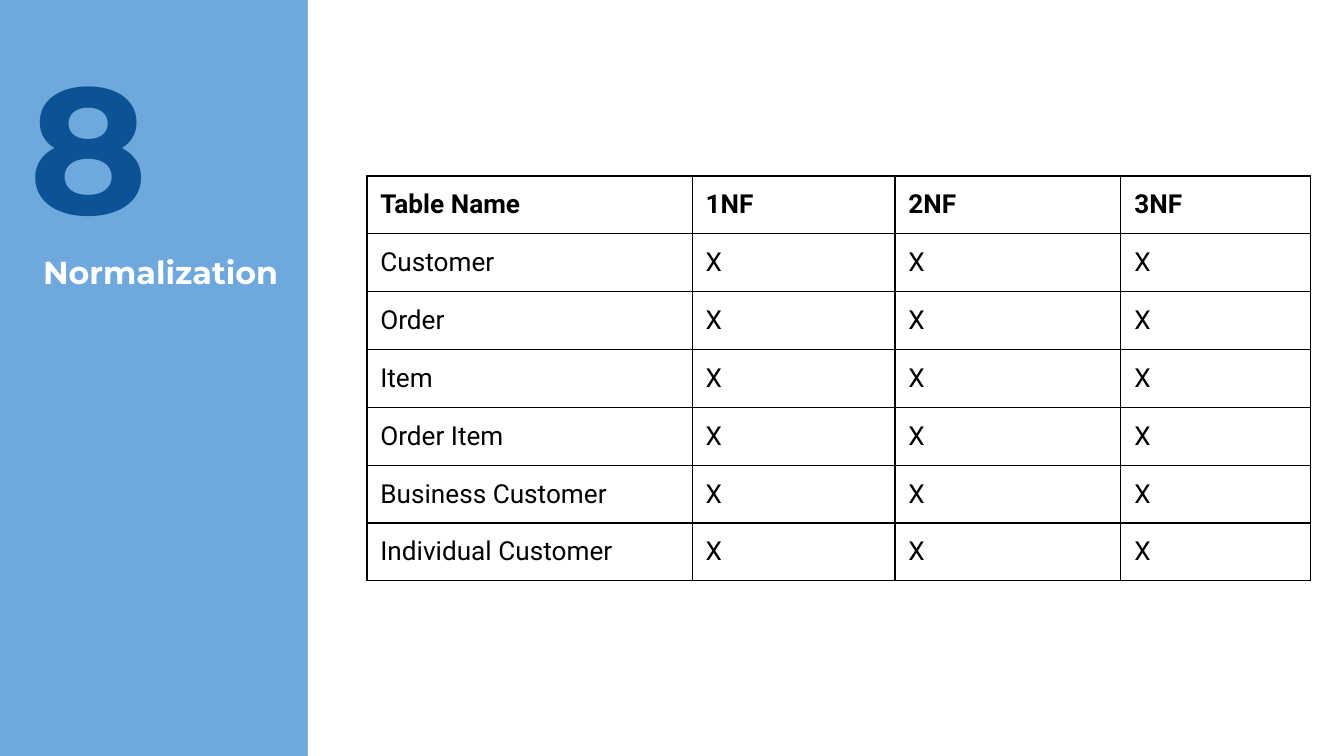
from lxml.etree import SubElement
from pptx import Presentation
from pptx.dml.color import RGBColor
from pptx.enum.shapes import MSO_SHAPE as Shape
from pptx.enum.text import MSO_ANCHOR as Anchor, MSO_AUTO_SIZE as AutoSize, PP_ALIGN as Align
from pptx.oxml.ns import qn
from pptx.util import Inches, Pt

SKY = RGBColor(0x6F, 0xA8, 0xDC)
NAVY = RGBColor(0x0B, 0x53, 0x94)
WHITE = RGBColor(0xFF, 0xFF, 0xFF)
BLACK = RGBColor(0, 0, 0)

# Widescreen page, 16:9
PAGE_WIDTH = Inches(10)
PAGE_HEIGHT = PAGE_WIDTH * 9 // 16

HEADERS = ["Table Name", "1NF", "2NF", "3NF"]
TABLE_NAMES = ["Customer", "Order", "Item", "Order Item",
               "Business Customer", "Individual Customer"]
COLUMN_WIDTHS = [2.42, 1.51, 1.68, 1.41]
ROW_HEIGHT = 0.43
MARGIN = Inches(0.1)


def set_margins(holder):
    """Apply the common inner margin to a text frame or a table cell."""
    holder.margin_left = holder.margin_right = MARGIN
    holder.margin_top = holder.margin_bottom = MARGIN


def write_text(frame, text, font_name, size, color, bold):
    frame.text = text
    para = frame.paragraphs[0]
    para.alignment = Align.LEFT
    font = para.runs[0].font
    font.name, font.size, font.bold = font_name, Pt(size), bold
    font.color.rgb = color


def place_heading(box, bounds, text, size, color):
    """Position and format a sidebar text."""
    box.left, box.top, box.width, box.height = map(Inches, bounds)
    frame = box.text_frame
    set_margins(frame)
    frame.word_wrap = True
    frame.auto_size = AutoSize.NONE
    frame.vertical_anchor = Anchor.TOP
    write_text(frame, text, "Montserrat", size, color, True)


def add_content_panel(page):
    left = Inches(2.29)
    panel = page.shapes.add_shape(Shape.RECTANGLE, left, 0, PAGE_WIDTH - left, PAGE_HEIGHT)
    panel.shadow.inherit = False
    panel.fill.solid()
    panel.fill.fore_color.rgb = WHITE
    panel.line.fill.background()


def add_borders(cell):
    props = cell._tc.get_or_add_tcPr()
    for side in ("a:lnL", "a:lnR", "a:lnT", "a:lnB"):
        line = SubElement(props, qn(side), w=str(Pt(0.75)))
        fill = SubElement(line, qn("a:solidFill"))
        SubElement(fill, qn("a:srgbClr"), val=str(BLACK))


def add_normal_form_table(page):
    rows = [HEADERS] + [[name, "X", "X", "X"] for name in TABLE_NAMES]
    frame = page.shapes.add_table(
        len(rows), len(HEADERS), Inches(2.73), Inches(1.31),
        Inches(sum(COLUMN_WIDTHS)), Inches(ROW_HEIGHT * len(rows)))
    table = frame.table
    table.horz_banding = False
    for column, width in zip(table.columns, COLUMN_WIDTHS):
        column.width = Inches(width)
    for row_index, values in enumerate(rows):
        table.rows[row_index].height = Inches(ROW_HEIGHT)
        for column_index, value in enumerate(values):
            cell = table.cell(row_index, column_index)
            set_margins(cell)
            write_text(cell.text_frame, value, "Roboto", 14, BLACK, row_index == 0)
            # Borders must come before the fill in the cell properties
            add_borders(cell)
            cell.fill.background()


def main():
    deck = Presentation()
    deck.slide_width, deck.slide_height = PAGE_WIDTH, PAGE_HEIGHT
    page = deck.slides.add_slide(deck.slide_layouts[5])

    # Blue background, visible as the sidebar
    page.background.fill.solid()
    page.background.fill.fore_color.rgb = SKY
    add_content_panel(page)

    # Section number and title
    number = page.shapes.add_textbox(0, 0, 0, 0)
    place_heading(number, (0.12, 0.16, 1.98, 1.37), "8", 96, NAVY)
    place_heading(page.shapes.title, (0.22, 1.78, 2.06, 0.94), "Normalization", 17, WHITE)

    # Normal forms met by each table
    add_normal_form_table(page)
    deck.save("out.pptx")


if __name__ == "__main__":
    main()
